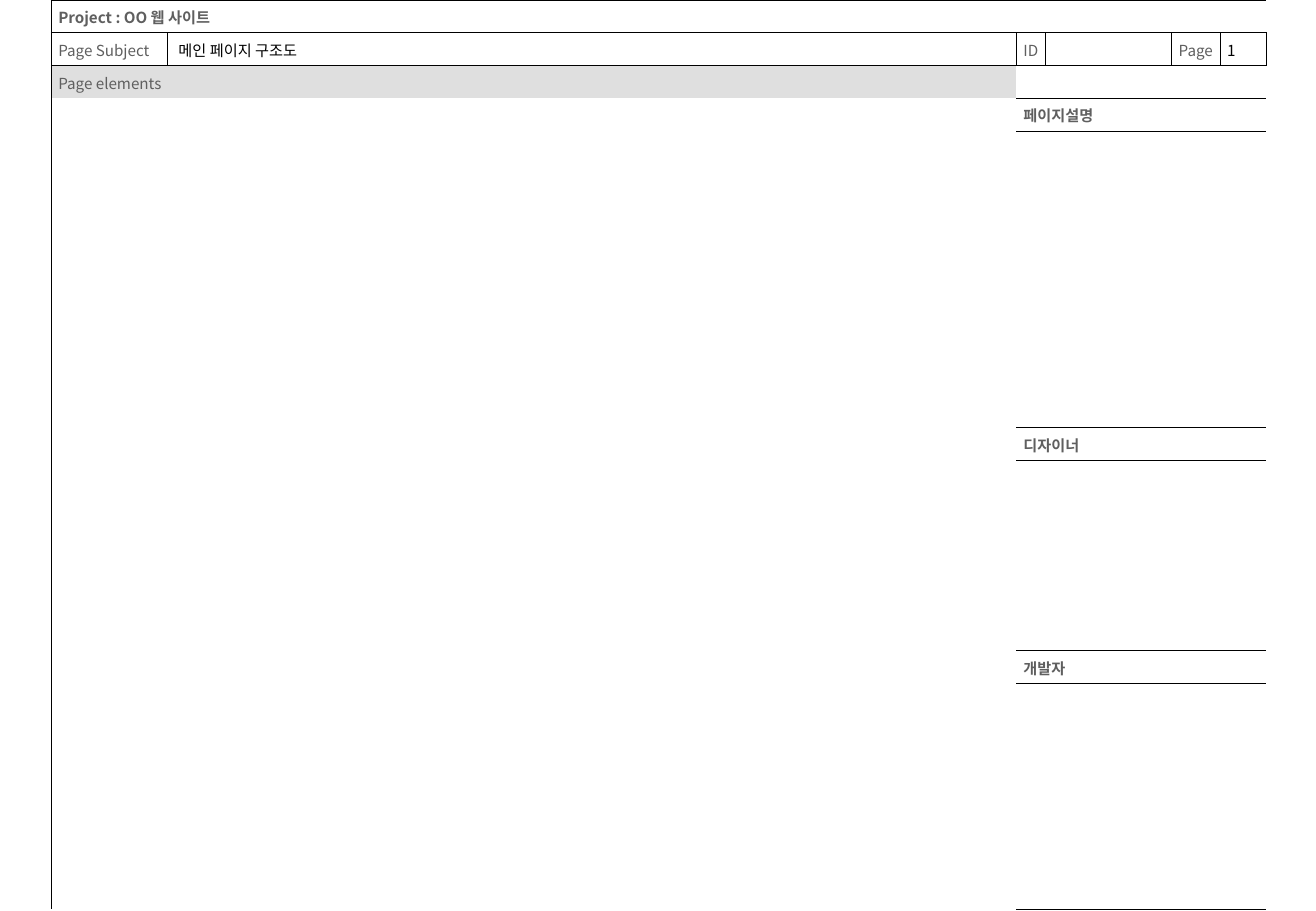
import dataclasses

import pptx
import pptx.dml.color
import pptx.enum.text
import pptx.oxml.ns
import pptx.util
from lxml import etree

Inches = pptx.util.Inches
Pt = pptx.util.Pt
RGB = pptx.dml.color.RGBColor.from_string
qn = pptx.oxml.ns.qn


@dataclasses.dataclass
class Theme:
    face: str = "Noto Sans CJK KR"
    size: float = 9
    ink: str = "000000"
    label: str = "5F5F5F"
    band: str = "DFDFDF"
    paper: str = "FFFFFF"
    hair: float = 0.23
    line: float = 0.45


LABEL = {"color": "label", "bold": False}
HEAD = {"color": "label", "bold": True}
VALUE = {"color": "ink", "bold": False}

LEFT, TOP = 0.42, 0
COLS = [0.96, 6.99, 0.24, 1.04, 0.4, 0.38]
ROWS = [0.27, 0.27, 0.27, 0.27, 2.44, 0.27, 1.57, 0.27, 1.86]

# row, column, rows spanned, columns spanned, text, format, options
BLOCKS = [
    (0, 0, 1, 6, "Project : OO 웹 사이트", HEAD, {}),
    (1, 0, 1, 1, "Page Subject", LABEL, {}),
    (1, 1, 1, 1, "메인 페이지 구조도", VALUE, {"inset": 0.09}),
    (1, 2, 1, 1, "ID", LABEL, {}),
    (1, 3, 1, 1, "", VALUE, {}),
    (1, 4, 1, 1, "Page", LABEL, {}),
    (1, 5, 1, 1, "1", VALUE, {}),
    (2, 0, 1, 2, "Page elements", LABEL, {"fill": "band", "skip": "B"}),
    (2, 2, 1, 4, "", VALUE, {}),
    (3, 0, 6, 2, "", VALUE, {"skip": "T"}),
]
for row, name in ((3, "페이지설명"), (5, "디자이너"), (7, "개발자")):
    BLOCKS += [(row, 2, 1, 4, name, HEAD, {}),
               (row + 1, 2, 1, 4, "", VALUE, {})]


class Sheet:
    def __init__(self, slide, theme):
        self.slide, self.theme = slide, theme

    def grid(self, left, top, cols, rows):
        frame = self.slide.shapes.add_table(
            len(rows), len(cols), Inches(left), Inches(top),
            Inches(sum(cols)), Inches(sum(rows)))
        table = frame.table
        table.first_row = table.horz_banding = False
        for col, width in zip(table.columns, cols):
            col.width = Inches(width)
        for row, height in zip(table.rows, rows):
            row.height = Inches(height)
        return table

    def edge(self, cell, side, width):
        """Draw one cell border, or hide it when width is None."""
        props = cell._tc.get_or_add_tcPr()
        line = etree.SubElement(props, qn("a:ln" + side))
        if width is None:
            etree.SubElement(line, qn("a:noFill"))
            return
        line.set("w", str(Pt(width)))
        fill = etree.SubElement(line, qn("a:solidFill"))
        etree.SubElement(fill, qn("a:srgbClr")).set("val", self.theme.ink)

    def label(self, cell, text, look):
        para = cell.text_frame.paragraphs[0]
        if not text:
            end = etree.SubElement(para._p, qn("a:endParaRPr"))
            end.set("sz", str(int(self.theme.size * 100)))
            return
        run = para.add_run()
        run.text = text
        form = {"name": self.theme.face, "size": Pt(self.theme.size),
                "bold": look["bold"]}
        for key, value in form.items():
            setattr(run.font, key, value)
        run.font.color.rgb = RGB(getattr(self.theme, look["color"]))
        east = etree.SubElement(run._r.get_or_add_rPr(), qn("a:ea"))
        east.set("typeface", self.theme.face)

    def block(self, table, row, col, high, wide, text, look, opts):
        """Fill a merged area, with borders on its outer edges only."""
        last, end = row + high - 1, col + wide - 1
        if high * wide > 1:
            table.cell(row, col).merge(table.cell(last, end))
        bounds = {"L": (col, 0), "R": (end, len(table.columns) - 1),
                  "T": (row, 0), "B": (last, len(table.rows) - 1)}
        form = {"margin_left": Inches(opts.get("inset", 0.06)),
                "margin_right": Inches(0.03),
                "margin_top": Inches(0.05),
                "margin_bottom": Inches(0.03),
                "vertical_anchor": pptx.enum.text.MSO_ANCHOR.TOP}
        for y in range(row, last + 1):
            for x in range(col, end + 1):
                cell = table.cell(y, x)
                for key, value in form.items():
                    setattr(cell, key, value)
                for side, (bound, rim) in bounds.items():
                    spot = x if side in "LR" else y
                    width = None
                    if spot == bound and side not in opts.get("skip", ""):
                        width = (self.theme.hair if bound == rim
                                 else self.theme.line)
                    self.edge(cell, side, width)
                cell.fill.solid()
                tone = getattr(self.theme, opts.get("fill", "paper"))
                cell.fill.fore_color.rgb = RGB(tone)
                first = (y, x) == (row, col)
                self.label(cell, text if first else "", look)


def main():
    deck = pptx.Presentation()
    deck.slide_width, deck.slide_height = Inches(10.84), Inches(7.5)
    sheet = Sheet(deck.slides.add_slide(deck.slide_layouts[6]), Theme())
    table = sheet.grid(LEFT, TOP, COLS, ROWS)
    for block in BLOCKS:
        sheet.block(table, *block)
    deck.save("out.pptx")


if __name__ == "__main__":
    main()
